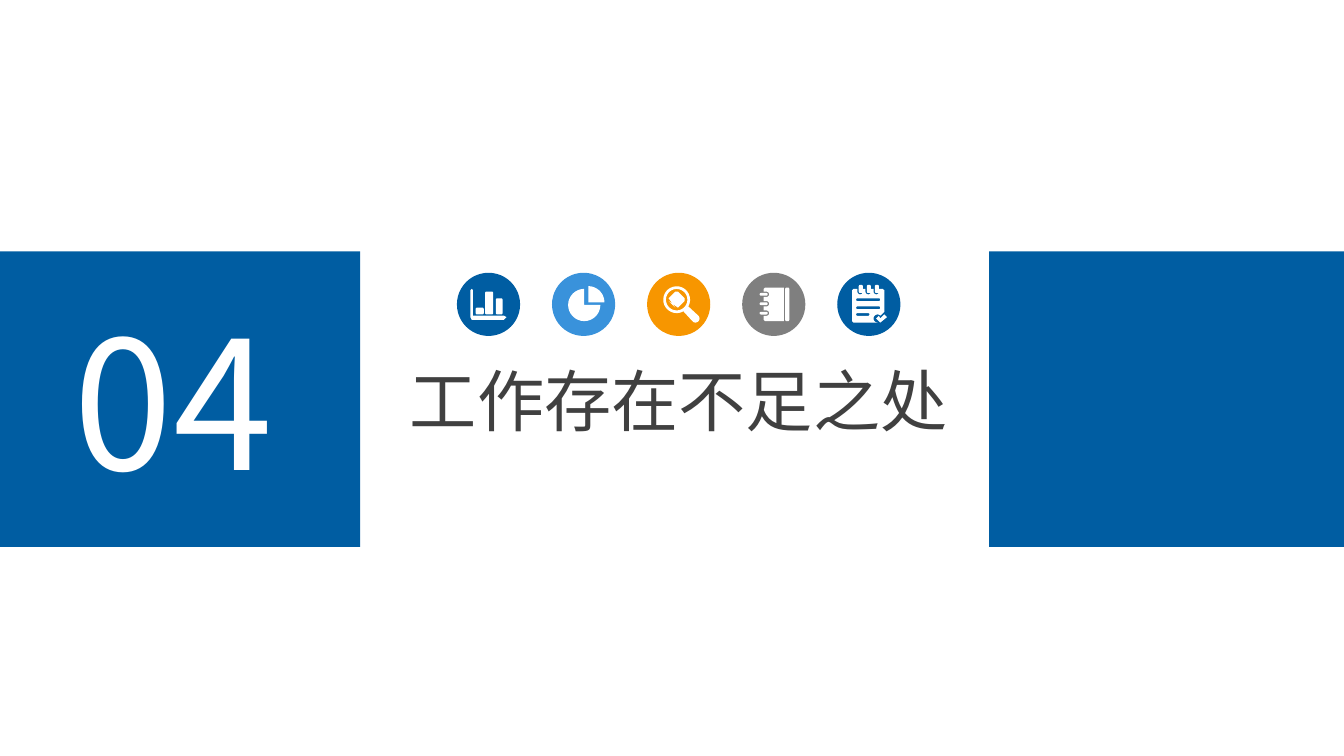
from math import cos, radians, sin

from lxml import etree
from pptx import Presentation
from pptx.dml.color import RGBColor
from pptx.enum.shapes import MSO_SHAPE
from pptx.enum.text import MSO_ANCHOR, MSO_AUTO_SIZE, PP_ALIGN
from pptx.oxml.ns import qn
from pptx.util import Inches, Pt

RECT, OVAL = MSO_SHAPE.RECTANGLE, MSO_SHAPE.OVAL
MIDDLE, LEFT, FIXED = MSO_ANCHOR.MIDDLE, PP_ALIGN.LEFT, MSO_AUTO_SIZE.NONE

BLUE = RGBColor(0x00, 0x5D, 0xA2)
SKY = RGBColor(0x39, 0x92, 0xDB)
ORANGE = RGBColor(0xF7, 0x96, 0x00)
GRAY = RGBColor(0x7F, 0x7F, 0x7F)
DARK = RGBColor(0x40, 0x40, 0x40)
WHITE = RGBColor(0xFF, 0xFF, 0xFF)
FONT = "Noto Sans CJK SC"


def paint(shape, color):
    shape.fill.solid()
    shape.fill.fore_color.rgb = color
    shape.line.fill.background()
    shape.shadow.inherit = False


def add_block(shapes, kind, box, color):
    shape = shapes.add_shape(kind, *map(Inches, box))
    paint(shape, color)


def set_text(shape, box, text, size, color):
    shape.left, shape.top, shape.width, shape.height = map(Inches, box)
    frame = shape.text_frame
    frame.text = text
    frame.word_wrap = False
    frame.auto_size = FIXED
    frame.vertical_anchor = MIDDLE
    para = frame.paragraphs[0]
    para.alignment = LEFT
    span = para.runs[0]
    span.font.name = FONT
    span.font.size = Pt(size)
    span.font.color.rgb = color
    east_asian = etree.SubElement(span.font._element, qn("a:ea"))
    east_asian.set("typeface", FONT)


def arc(x, y, radius, start=0, end=360, steps=24):
    angles = [radians(start + (end - start) * step / steps)
              for step in range(steps + 1)]
    return [(x + radius * cos(angle), y + radius * sin(angle))
            for angle in angles]


def bar(left, top, width, height):
    radius = min(0.01, width / 2, height / 2)
    right, bottom = left + width - radius, top + height - radius
    left, top = left + radius, top + radius
    corners = ((right, bottom), (left, bottom), (left, top), (right, top))
    return [point for index, (x, y) in enumerate(corners)
            for point in arc(x, y, radius, 90 * index, 90 * index + 90, 4)]


def bars_outline():
    axes = [(0.1, 0.13), (0.11, 0.12), (0.12, 0.13), (0.12, 0.32),
            (0.35, 0.32), (0.37, 0.33), (0.35, 0.35), (0.11, 0.35), (0.1, 0.33)]
    return [axes, bar(0.14, 0.26, 0.06, 0.05), bar(0.21, 0.14, 0.06, 0.17),
            bar(0.29, 0.19, 0.05, 0.12)]


def pie_outline():
    return [[(0.27, 0.22)] + arc(0.27, 0.22, 0.12, -90, 0),
            [(0.24, 0.24)] + arc(0.24, 0.24, 0.12, 0, 270)]


def magnifier_outline():
    lens = arc(0.22, 0.2, 0.1, 60, 390) + arc(0.36, 0.34, 0.03, -45, 135)
    near, far, reach = 0.01, 0.06, ((1, -1), (1, 1), (-1, 1), (-1, -1))
    plus = []
    for x, y in reach:
        ends = [(0.22 + x * near, 0.2 + y * far), (0.22 + x * far, 0.2 + y * near)]
        plus += ends if x * y > 0 and y < 0 or x * y < 0 and y < 0 and x > 0 else ends[::-1]
    plus = plus[:6] + plus[6:][::-1]
    return [lens, arc(0.22, 0.2, 0.08), plus]


def notebook_outline():
    rows = (0.16, 0.23, 0.3)
    cover = [(0.31, 0.11), (0.31, 0.36), (0.17, 0.36), (0.16, 0.35)]
    for y in reversed(rows):
        cover += [(0.16, y + 0.02)] + arc(0.18, y, 0.02, 90, -90) + [(0.16, y - 0.02)]
    cover += [(0.16, 0.12), (0.17, 0.11)]
    rings = [bar(0.13, y - 0.01, 0.06, 0.02) for y in rows]
    return [cover, bar(0.32, 0.11, 0.03, 0.25)] + rings


def checklist_outline():
    columns = (0.17, 0.23, 0.29)
    sheet = [(0.11, 0.13), (0.12, 0.12)]
    for x in columns:
        sheet += [(x - 0.02, 0.12)] + arc(x, 0.14, 0.02, 180, 0) + [(x + 0.02, 0.12)]
    sheet += [(0.34, 0.12), (0.35, 0.13), (0.35, 0.29)]
    sheet += arc(0.3, 0.34, 0.03, -45, -270) + [(0.12, 0.37), (0.11, 0.36)]
    rings = [bar(x - 0.01, 0.09, 0.03, 0.06) for x in columns]
    lines = [bar(0.14, y, width, 0.02)
             for y, width in ((0.19, 0.18), (0.25, 0.18), (0.3, 0.1))]
    check = [(0.29, 0.34), (0.31, 0.32), (0.32, 0.34),
             (0.35, 0.31), (0.37, 0.33), (0.32, 0.37)]
    return [sheet, check] + rings + lines


def draw_icon(page, left, top, size, color, contours):
    group = page.shapes.add_group_shape()
    add_block(group.shapes, OVAL, (left, top, size, size), color)
    placed = [[(Inches(left + x), Inches(top + y)) for x, y in contour]
              for contour in contours]
    builder = group.shapes.build_freeform(*placed[0][0])
    builder.add_line_segments(placed[0][1:])
    for contour in placed[1:]:
        builder.move_to(*contour[0])
        builder.add_line_segments(contour[1:])
    paint(builder.convert_to_shape(), WHITE)


def draw_icon_row(page, box):
    left, top, width, size = box
    pitch = (width - size) / 4
    icons = ((4, BLUE, checklist_outline), (2, ORANGE, magnifier_outline),
             (3, GRAY, notebook_outline), (0, BLUE, bars_outline),
             (1, SKY, pie_outline))
    for slot, color, outline in icons:
        draw_icon(page, left + slot * pitch, top, size, color, outline())


def draw_section(page, number, title):
    add_block(page.shapes, RECT, (0, 1.87, 2.68, 2.2), BLUE)
    label = page.shapes.add_textbox(0, 0, 0, 0)
    set_text(label, (0.45, 2.11, 1.78, 1.72), number, 96, WHITE)
    set_text(page.shapes.title, (2.95, 2.62, 4.24, 0.71), title, 36, DARK)
    add_block(page.shapes, RECT, (7.36, 1.87, 2.68, 2.2), BLUE)
    draw_icon_row(page, (3.4, 2.03, 3.3, 0.47))


deck = Presentation()
deck.slide_width = Inches(10)
deck.slide_height = deck.slide_width * 9 // 16
section_page = deck.slides.add_slide(deck.slide_layouts[5])
draw_section(section_page, "04", "工作存在不足之处")
deck.save("out.pptx")
